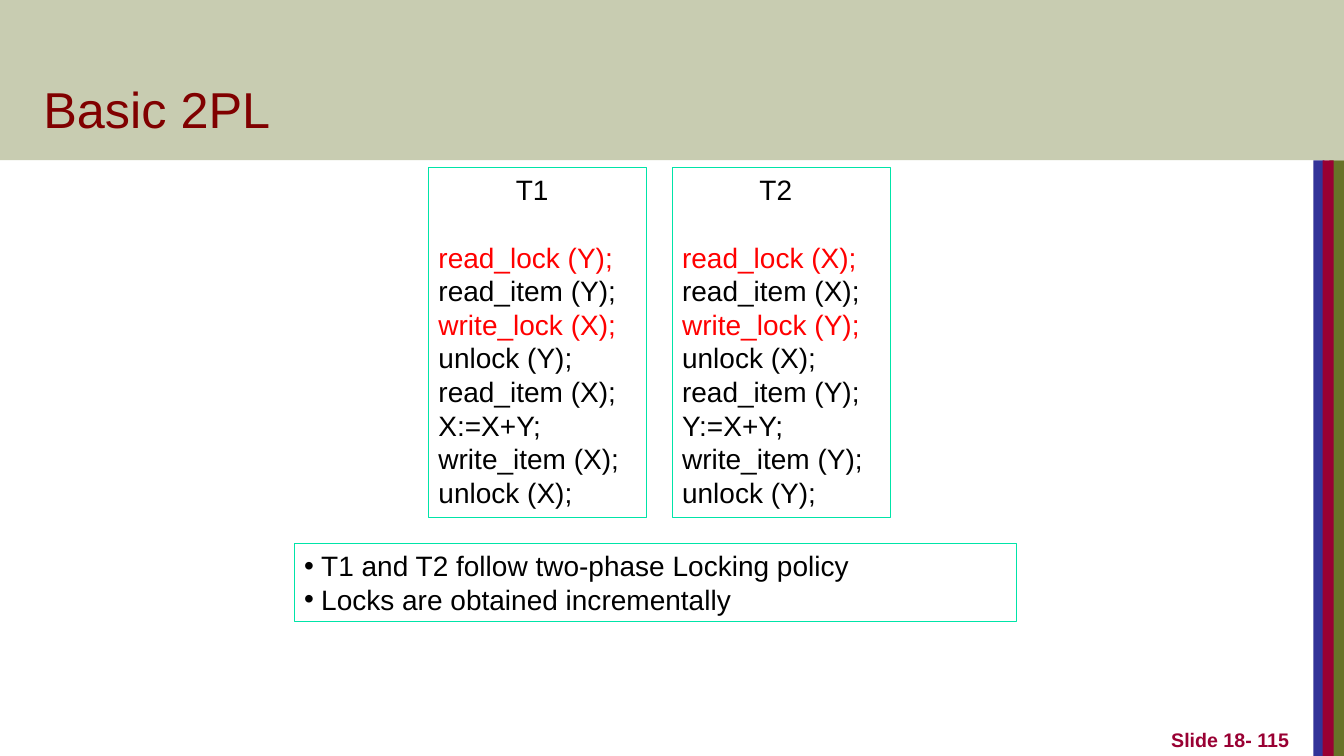
from lxml.etree import SubElement
from pptx import Presentation
from pptx.dml.color import RGBColor
from pptx.enum.shapes import MSO_SHAPE
from pptx.enum.text import MSO_ANCHOR, MSO_AUTO_SIZE, PP_ALIGN
from pptx.oxml.ns import qn
from pptx.util import Cm, Pt

OLIVE = RGBColor(0x67, 0x72, 0x28)
BLUE = RGBColor(0x33, 0x33, 0x99)
WINE = RGBColor(0x99, 0x00, 0x33)
MAROON = RGBColor(0x80, 0x00, 0x00)
MINT = RGBColor(0x00, 0xE4, 0xA8)
RED = RGBColor(0xFF, 0x00, 0x00)
BLACK = RGBColor(0x00, 0x00, 0x00)

WIDTH, HEIGHT, BAND = 33.87, 19.05, 4.04


def write(frame, text, size=20, color=BLACK, bold=False, align=PP_ALIGN.LEFT,
          indent=0, hang=0, bullet=None, pitch=None, after=0):
    """Add one paragraph, using the frame's first one while it is empty."""
    para = frame.paragraphs[0]
    if para.runs:
        para = frame.add_paragraph()
    props = para._p.get_or_add_pPr()
    props.set("marL", str(Cm(indent)))
    props.set("indent", str(Cm(-hang)))
    if bullet:
        SubElement(props, qn("a:buChar")).set("char", bullet)
    para.alignment = align
    para.space_before, para.space_after = Pt(0), Pt(after)
    if pitch:
        para.line_spacing = Pt(pitch)
    run = para.add_run()
    run.text = text
    font = run.font
    font.name, font.size, font.bold = "Arial", Pt(size), bold
    font.color.rgb = color


class Deck:
    """Holds the style and the current slide."""

    def __init__(self):
        self.file = Presentation()
        self.file.slide_width, self.file.slide_height = Cm(WIDTH), Cm(HEIGHT)
        self.slide = self.file.slides.add_slide(self.file.slide_layouts[1])
        self.shapes = self.slide.shapes

    def place(self, shape, left, top, width, height):
        shape.left, shape.top = Cm(left), Cm(top)
        shape.width, shape.height = Cm(width), Cm(height)

    def frame(self, shape, anchor):
        frame = shape.text_frame
        frame.word_wrap = True
        frame.auto_size = MSO_AUTO_SIZE.NONE
        frame.vertical_anchor = anchor
        return frame

    def edge(self, shape):
        shape.line.color.rgb = MINT
        shape.line.width = Pt(0.75)

    def rect(self, *box):
        shape = self.shapes.add_shape(MSO_SHAPE.RECTANGLE, *map(Cm, box))
        shape.shadow.inherit = False
        return shape

    def bar(self, color, *box, alpha=None):
        shape = self.rect(*box)
        shape.fill.solid()
        shape.fill.fore_color.rgb = color
        shape.line.fill.background()
        if alpha:
            tint = shape.fill._xPr.find(".//" + qn("a:srgbClr"))
            SubElement(tint, qn("a:alpha")).set("val", str(alpha * 1000))

    def title(self, text, *box):
        """Fill the title and bring it in front of the band."""
        shape = self.shapes.title
        self.shapes._spTree.append(shape._element)
        self.place(shape, *box)
        write(self.frame(shape, MSO_ANCHOR.BOTTOM), text, size=36, color=MAROON)

    def label(self, text, *box):
        shape = self.shapes.add_textbox(*map(Cm, box))
        write(self.frame(shape, MSO_ANCHOR.BOTTOM), text, size=14, color=WINE,
              bold=True, align=PP_ALIGN.RIGHT)

    def points(self, lines, *box):
        shape = self.slide.placeholders[1]
        self.place(shape, *box)
        self.edge(shape)
        frame = self.frame(shape, MSO_ANCHOR.TOP)
        for line in lines:
            write(frame, line, bullet="•", indent=0.43, hang=0.43, pitch=24)

    def steps(self, head, lines, *box):
        """Draw a transaction, with the lock requests in red."""
        shape = self.rect(*box)
        shape.fill.background()
        self.edge(shape)
        frame = self.frame(shape, MSO_ANCHOR.TOP)
        write(frame, head, indent=1.95, pitch=24, after=24)
        for line in lines:
            write(frame, line, color=RED if "_lock" in line else BLACK, pitch=24)


def main():
    deck = Deck()
    for color, left, width in ((OLIVE, 33.5, 0.37), (BLUE, 33.1, 0.28),
                               (WINE, 33.33, 0.28)):
        deck.bar(color, left, BAND, width, HEIGHT - BAND)
    deck.bar(OLIVE, 0, 0, WIDTH, BAND, alpha=36)
    deck.title("Basic 2PL", 0.84, 0.84, 28.88, 2.77)
    deck.label("Slide 18- 115", 25.68, 17.78, 7.06, 1.27)
    deck.points(("T1 and T2 follow two-phase Locking policy",
                 "Locks are obtained incrementally"), 7.41, 13.7, 18.2, 1.96)
    for col, (one, two) in enumerate(("XY", "YX")):
        lines = (f"read_lock ({two});", f"read_item ({two});",
                 f"write_lock ({one});", f"unlock ({two});",
                 f"read_item ({one});",
                 f"{one}:=X+Y; write_item ({one});", f"unlock ({one});")
        deck.steps(f"T{col + 1}", lines, 10.8 + 6.14 * col, 4.23, 5.5, 8.82)
    deck.file.save("out.pptx")


if __name__ == "__main__":
    main()
